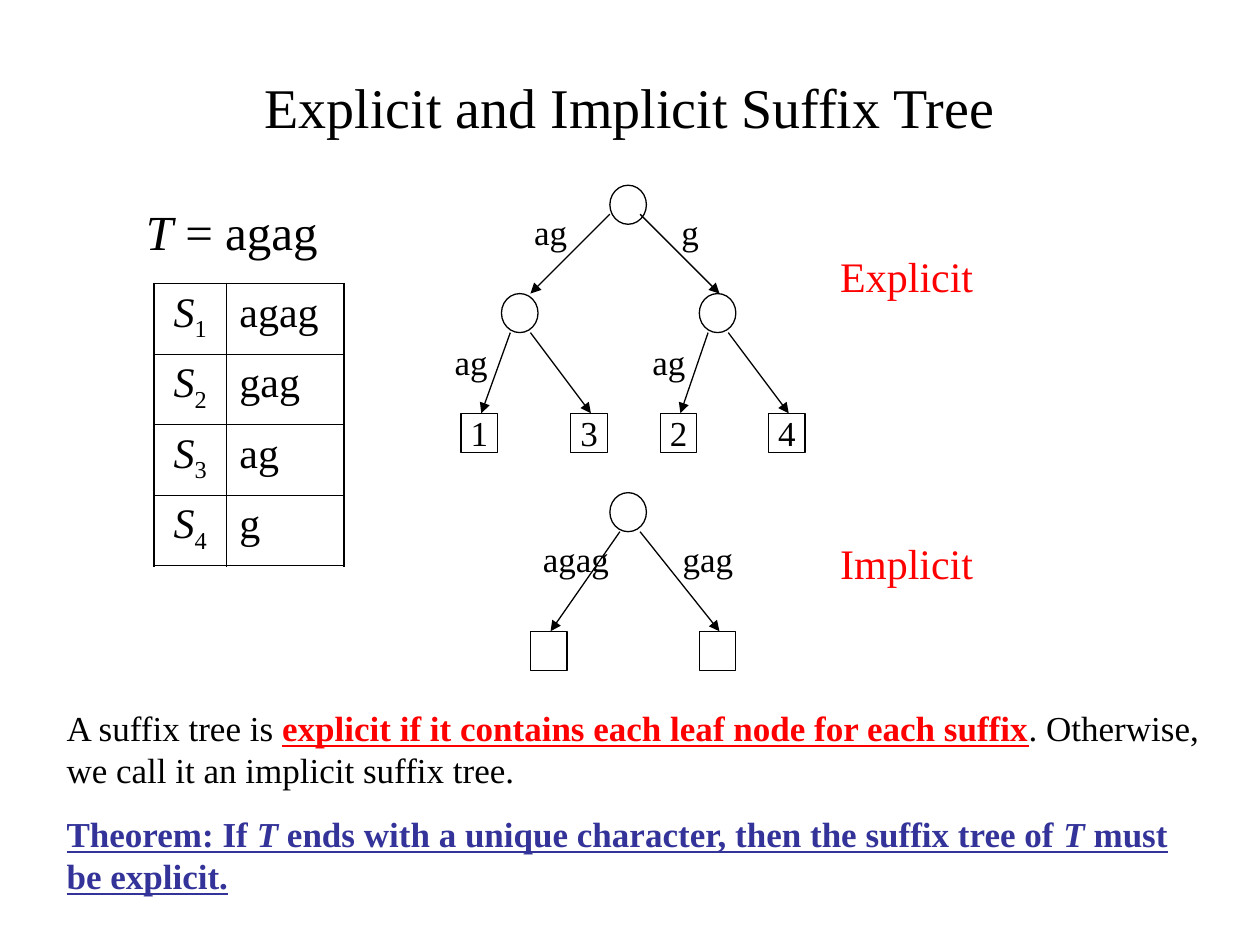
import pptx
import pptx.util
import pptx.dml.color
import pptx.enum.shapes
import pptx.enum.text
import pptx.oxml.ns
from lxml import etree

Inches = pptx.util.Inches
Pt = pptx.util.Pt
RGBColor = pptx.dml.color.RGBColor
SHAPES = pptx.enum.shapes.MSO_SHAPE
ALIGN = pptx.enum.text.PP_ALIGN
ANCHOR = pptx.enum.text.MSO_ANCHOR
qn = pptx.oxml.ns.qn

BLACK = RGBColor(0x00, 0x00, 0x00)
RED = RGBColor(0xFF, 0x00, 0x00)
INDIGO = RGBColor(0x33, 0x33, 0x99)
FONT = "Times New Roman"
NODE_WIDTH, NODE_HEIGHT = 0.29, 0.31

# Each run is its text, or a pair of text and run format.
ITALIC = {"italic": True}
KEY = {"color": RED, "bold": True, "underline": True}
THEOREM = {"color": INDIGO, "bold": True, "underline": True}
THEOREM_T = {**THEOREM, "italic": True}

TITLE = "Explicit and Implicit Suffix Tree"
STRING = [("T", ITALIC), " = agag"]
SUFFIXES = ["agag", "gag", "ag", "g"]
TREE_NAMES = [("Explicit", 1.94), ("Implicit", 4.22)]
DEFINITION = [
    "A suffix tree is ",
    ("explicit if it contains each leaf node for each suffix", KEY),
    ". Otherwise, we call it an implicit suffix tree.",
]
THEOREM_RUNS = [
    ("Theorem: If ", THEOREM), ("T", THEOREM_T),
    (" ends with a unique character, then the suffix tree of ", THEOREM),
    ("T", THEOREM_T), (" must be explicit.", THEOREM),
]

# Node: shape, left, top, text
NODES = {
    "explicit root": (SHAPES.OVAL, 4.84, 1.47, ""),
    "ag": (SHAPES.OVAL, 3.98, 2.33, ""),
    "g": (SHAPES.OVAL, 5.55, 2.33, ""),
    "leaf 1": (SHAPES.RECTANGLE, 3.66, 3.28, "1"),
    "leaf 3": (SHAPES.RECTANGLE, 4.53, 3.28, "3"),
    "leaf 2": (SHAPES.RECTANGLE, 5.24, 3.28, "2"),
    "leaf 4": (SHAPES.RECTANGLE, 6.1, 3.28, "4"),
    "implicit root": (SHAPES.OVAL, 4.84, 3.91, ""),
    "agag": (SHAPES.RECTANGLE, 4.21, 5.01, ""),
    "gag": (SHAPES.RECTANGLE, 5.55, 5.01, ""),
}
# Edge: parent, child, start offset from the parent, end offset from the child
EDGES = [
    ("explicit root", "ag", (0, 0.23), 0.23),
    ("explicit root", "g", (0.24, 0.23), 0.16),
    ("ag", "leaf 1", (0.07, 0.31), 0.16),
    ("ag", "leaf 3", (0.23, 0.31), 0.16),
    ("g", "leaf 2", (0.07, 0.31), 0.16),
    ("g", "leaf 4", (0.23, 0.31), 0.16),
    ("implicit root", "agag", (0.08, 0.31), 0.16),
    ("implicit root", "gag", (0.24, 0.31), 0.16),
]
# Edge label: text, left, top, width
EDGE_LABELS = [
    ("ag", 4.14, 1.62, 0.48), ("g", 5.31, 1.62, 0.36),
    ("ag", 3.51, 2.65, 0.48), ("ag", 5.08, 2.65, 0.48),
    ("agag", 4.21, 4.22, 0.76), ("gag", 5.32, 4.22, 0.64),
]


def write(frame, *paragraphs, size=20, color=BLACK, align=ALIGN.LEFT,
          anchor=ANCHOR.TOP, wrap=True, space_before=0):
    """Fill a text frame; each paragraph is a string or a list of runs."""
    frame.word_wrap = wrap
    frame.vertical_anchor = anchor
    for index, runs in enumerate(paragraphs):
        paragraph = frame.add_paragraph() if index else frame.paragraphs[0]
        paragraph.alignment = align
        if index:
            paragraph.space_before = Pt(space_before)
        for item in [runs] if isinstance(runs, str) else runs:
            text, style = (item, {}) if isinstance(item, str) else item
            run = paragraph.add_run()
            run.text = text
            run.font.name = FONT
            run.font.size = Pt(size)
            run.font.color.rgb = style.get("color", color)
            run.font.bold = style.get("bold", False)
            run.font.italic = style.get("italic", False)
            run.font.underline = style.get("underline", False)
            if "baseline" in style:
                run.font._element.set("baseline", style["baseline"])


def add_label(slide, box, *paragraphs, **text_format):
    label = slide.shapes.add_textbox(*map(Inches, box))
    write(label.text_frame, *paragraphs, **text_format)


def add_node(slide, kind, left, top, text):
    node = slide.shapes.add_shape(
        kind, *map(Inches, (left, top, NODE_WIDTH, NODE_HEIGHT)))
    node.shadow.inherit = False
    node.fill.background()
    node.line.color.rgb = BLACK
    node.line.width = Pt(0.75)
    if text:
        write(node.text_frame, text, align=ALIGN.CENTER,
              anchor=ANCHOR.MIDDLE, wrap=False)


def add_edge(slide, parent, child, start, end_x):
    _, parent_left, parent_top, _ = NODES[parent]
    _, child_left, child_top, _ = NODES[child]
    ends = (parent_left + start[0], parent_top + start[1],
            child_left + end_x, child_top)
    edge = slide.shapes.add_connector(
        pptx.enum.shapes.MSO_CONNECTOR.STRAIGHT, *map(Inches, ends))
    edge.line.color.rgb = BLACK
    edge.line.width = Pt(0.75)
    etree.SubElement(edge.line._get_or_add_ln(), qn("a:tailEnd"), type="triangle")
    etree.SubElement(edge._element.spPr, qn("a:effectLst"))


def set_borders(cell, outer_sides):
    properties = cell._tc.get_or_add_tcPr()
    for side in "LRTB":
        width = Pt(1.08 if side in outer_sides else 0.45)
        border = etree.SubElement(properties, qn(f"a:ln{side}"), w=str(width))
        fill = etree.SubElement(border, qn("a:solidFill"))
        etree.SubElement(fill, qn("a:srgbClr"), val=str(BLACK))


def add_suffix_table(slide):
    count = len(SUFFIXES)
    row_height = 0.56
    table = slide.shapes.add_table(
        count, 2, *map(Inches, (1.22, 2.25, 1.51, count * row_height))).table
    table.first_row = table.horz_banding = False
    for column, width in zip(table.columns, (0.58, 0.93)):
        column.width = Inches(width)
    for row, suffix in enumerate(SUFFIXES):
        table.rows[row].height = Inches(row_height)
        name = [("S", ITALIC), (str(row + 1), {"baseline": "-25000"})]
        vertical = {0: "T", count - 1: "B"}.get(row, "")
        contents = [(name, ALIGN.CENTER, "L"), (suffix, ALIGN.LEFT, "R")]
        for column, (text, align, side) in enumerate(contents):
            cell = table.cell(row, column)
            set_borders(cell, side + vertical)
            cell.fill.background()
            write(cell.text_frame, text, size=24, align=align)


def main():
    deck = pptx.Presentation()
    deck.slide_width, deck.slide_height = Inches(10), Inches(7.5)
    slide = deck.slides.add_slide(deck.slide_layouts[6])

    add_label(slide, (0.5, 0.3, 9, 1.09), TITLE, size=32,
              align=ALIGN.CENTER, anchor=ANCHOR.MIDDLE)
    add_suffix_table(slide)
    add_label(slide, (1.06, 1.55, 1.73, 0.57), STRING, size=28)
    for node in NODES.values():
        add_node(slide, *node)
    for edge in EDGES:
        add_edge(slide, *edge)
    for text, left, top, width in EDGE_LABELS:
        add_label(slide, (left, top, width, 0.44), text)
    add_label(slide, (0.43, 5.56, 9.21, 1.61), DEFINITION, THEOREM_RUNS,
              space_before=12.5)
    for name, top in TREE_NAMES:
        add_label(slide, (6.57, top, 1.5, 0.5), name, size=24, color=RED)
    deck.save("out.pptx")


if __name__ == "__main__":
    main()
